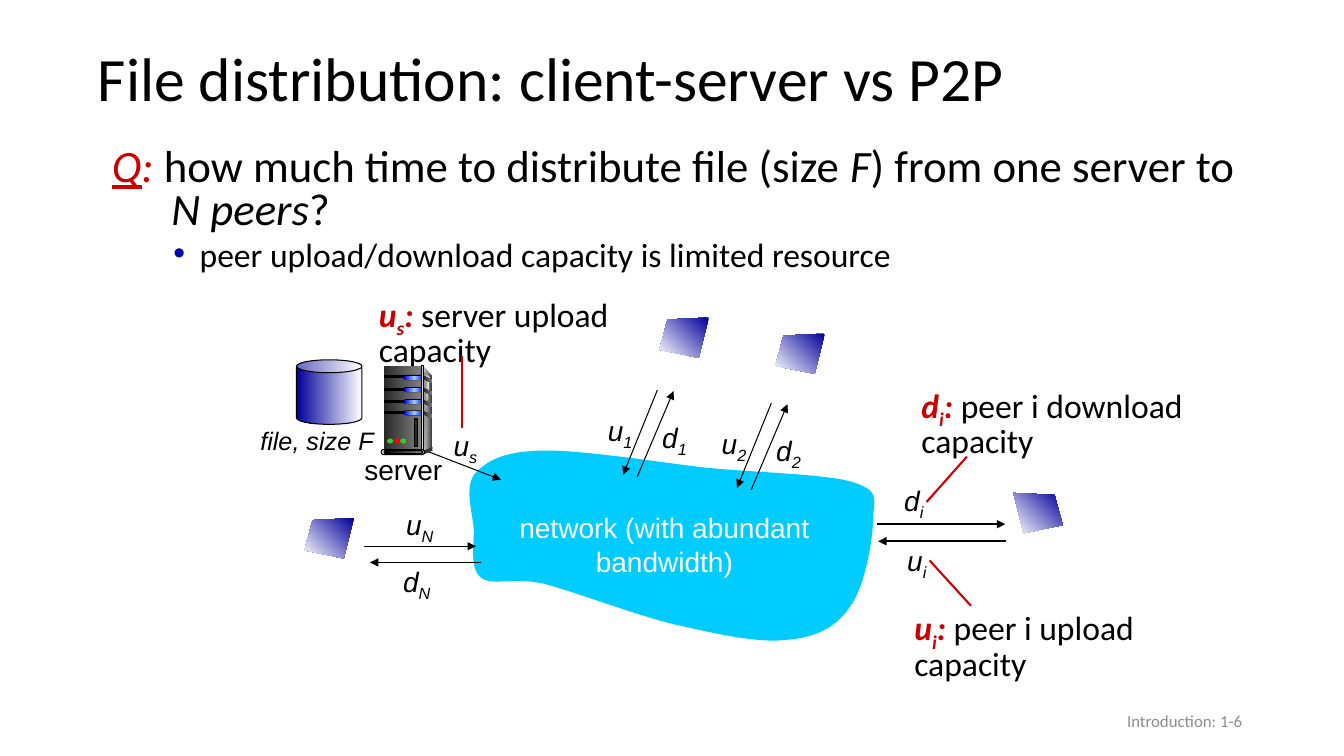
from lxml.etree import SubElement
from pptx import Presentation
from pptx.dml.color import RGBColor
from pptx.enum.shapes import MSO_CONNECTOR, MSO_SHAPE
from pptx.enum.text import MSO_ANCHOR, MSO_AUTO_SIZE, PP_ALIGN
from pptx.oxml.ns import qn
from pptx.util import Pt

PX = 9144
BLACK, WHITE, RED, NAVY = "000000", "FFFFFF", "CC0000", "000099"
DARK, GRAY, PALE = "292929", "808080", "DDDDDD"
STEEL, GREEN = "333333", "33CC33"
LEFT, RIGHT, MID = PP_ALIGN.LEFT, PP_ALIGN.RIGHT, PP_ALIGN.CENTER
BOX, PILL, DISC = MSO_SHAPE.RECTANGLE, MSO_SHAPE.ROUNDED_RECTANGLE, MSO_SHAPE.OVAL
SCREEN = [(49, 0), (8, 2), (0, 32), (39, 40)]
CLOUD = [
    (537, 447),
    (499, 448), (483, 457), (471, 470), (460, 483), (469, 509), (470, 526),
    (470, 543), (466, 564), (477, 573), (489, 582), (507, 572), (539, 579),
    (570, 587), (627, 609), (667, 619), (707, 628), (749, 638), (778, 635),
    (808, 633), (829, 623), (843, 602), (858, 582), (866, 535), (866, 514),
    (867, 494), (873, 487), (845, 478), (817, 470), (750, 469), (700, 464),
    (649, 458), (575, 446), (537, 447),
]


def tint(code):
    return RGBColor.from_string(code)


def paint(shape, fill, line=None, angle=0):
    shape.shadow.inherit = False
    if isinstance(fill, str):
        shape.fill.solid()
        shape.fill.fore_color.rgb = tint(fill)
    else:
        shape.fill.gradient()
        shape.fill.gradient_angle = -angle % 360
        stops = shape._element.spPr.find(".//" + qn("a:gsLst"))
        stops.clear()
        for i, code in enumerate(fill):
            stop = SubElement(stops, qn("a:gs"), pos=str(100000 * i // (len(fill) - 1)))
            SubElement(stop, qn("a:srgbClr"), val=code)
    if line:
        shape.line.color.rgb = tint(line)
        shape.line.width = Pt(0.75)
    else:
        shape.line.fill.background()


def block(slide, kind, place, fill, line=None):
    shape = slide.shapes.add_shape(kind, *(n * PX for n in place))
    paint(shape, fill, line)
    if kind == PILL:
        shape.adjustments[0] = 0.5
    return shape


def outline(slide, points, fill, angle=0):
    spots = [(round(x * PX), round(y * PX)) for x, y in points]
    pen = slide.shapes.build_freeform(*spots[0], scale=1.0)
    pen.add_line_segments(spots[1:], close=True)
    paint(pen.convert_to_shape(), fill, angle=angle)


def bend(knots, steps=12):
    points = [knots[0]]
    for i in range(0, len(knots) - 1, 3):
        a, b, c, d = knots[i:i + 4]
        for k in range(1, steps + 1):
            t = k / steps
            s = 1 - t
            points.append(tuple(
                s**3 * a[n] + 3 * s * s * t * b[n] + 3 * s * t * t * c[n] + t**3 * d[n]
                for n in (0, 1)))
    return points


def arrow(slide, start, end, color=BLACK, width=0.75, head=True):
    ends = [n * PX for n in (*start, *end)]
    link = slide.shapes.add_connector(MSO_CONNECTOR.STRAIGHT, *ends)
    link.line.color.rgb = tint(color)
    link.line.width = Pt(width)
    if head:
        SubElement(link.line._get_or_add_ln(), qn("a:tailEnd"), type="triangle")
    SubElement(link._element.spPr, qn("a:effectLst"))


def write(para, runs, size, face="Calibri", color=BLACK, align=LEFT, space=None):
    para.alignment = align
    if space:
        para.line_spacing = space
    para.font.size = Pt(size)
    para.font.name = face
    para.font.color.rgb = tint(color)
    for text, marks in runs:
        run = para.add_run()
        run.text = text
        if "b" in marks:
            run.font.bold = True
        if "i" in marks:
            run.font.italic = True
        if "u" in marks:
            run.font.underline = True
        if "r" in marks:
            run.font.color.rgb = tint(RED)
        if "s" in marks:
            run.font._element.set("baseline", "-25000")


def label(slide, place, lines, size, **style):
    frame = slide.shapes.add_textbox(*(n * PX for n in place)).text_frame
    frame.word_wrap = True
    for i, runs in enumerate(lines):
        para = frame.add_paragraph() if i else frame.paragraphs[0]
        write(para, runs, size, **style)
    return frame


def rate(slide, x, y, name, sub):
    label(slide, (x, y, 67, 44), [[(name, "i"), (sub, "is")]], 20, face="Arial")


def legend(slide, x, y, width, name, sub, text):
    runs = [(name, "bir"), (sub, "birs"), (":", "bir"), (" " + text, "")]
    label(slide, (x, y, width, 79), [runs], 24, space=0.85)


def move(shape, place):
    shape.left, shape.top, shape.width, shape.height = (n * PX for n in place)
    shape.text_frame.auto_size = MSO_AUTO_SIZE.NONE


def indent(para, margin, hang, bullet=None):
    props = para._p.get_or_add_pPr()
    props.set("marL", str(margin * PX))
    props.set("indent", str(-hang * PX))
    if bullet:
        hue = SubElement(props, qn("a:buClr"))
        SubElement(hue, qn("a:srgbClr"), val=bullet)
        SubElement(props, qn("a:buChar"), char="•")
    else:
        SubElement(props, qn("a:buNone"))


def heading(slide):
    title, body = slide.placeholders
    move(title, (87, 32, 1150, 98))
    title.text_frame.vertical_anchor = MSO_ANCHOR.MIDDLE
    write(title.text_frame.paragraphs[0],
          [("File distribution: client-server vs P2P", "")], 44, space=0.9)
    move(body, (94, 142, 1150, 142))
    first = body.text_frame.paragraphs[0]
    indent(first, 66, 59)
    first.space_before = Pt(0)
    write(first, [
        ("Q", "iur"), (":", "ir"), (" how much time to distribute file (size ", ""),
        ("F", "i"), (") from one server to ", ""), ("N peers", "i"), ("?", ""),
    ], 32, space=0.8)
    point = body.text_frame.add_paragraph()
    point.level = 1
    indent(point, 94, 26, "0000A8")
    point.space_before = Pt(5)
    write(point, [("peer upload/download capacity is limited resource", "")], 24, space=0.8)


def server(slide):
    outline(slide, [(420, 364), (429, 374), (428, 444), (419, 447)], (PALE, STEEL))
    block(slide, BOX, (381, 363, 37, 84), (DARK, GRAY))
    outline(slide, [(421, 369), (426, 375), (422, 410), (421, 445)], (GRAY, "F8F8F8"))
    for y in (373, 385, 397, 408):
        block(slide, BOX, (381, y, 21, 2), BLACK, BLACK)
        block(slide, PILL, (400, y - 1, 21, 5), BLACK)
        block(slide, PILL, (401, y, 20, 4), ("0000FF", "99CCFF", "0000FF"))
        outline(slide, [(420, y), (429, y + 4), (428, y + 7), (420, y + 3)], (DARK, GRAY))
    block(slide, BOX, (418, 363, 2, 84), (STEEL, PALE, STEEL), BLACK)
    block(slide, DISC, (427, 443, 2, 3), STEEL)
    outline(slide, [(420, 447), (420, 451), (429, 447), (428, 444)], STEEL)
    block(slide, PILL, (378, 446, 43, 5), PALE, BLACK)
    block(slide, PILL, (381, 447, 38, 3), (BLACK, GRAY), BLACK)
    for x, color in ((384, GREEN), (391, "FF0000"), (397, GREEN)):
        block(slide, DISC, (x, 435, 6, 5), color)
    block(slide, BOX, (411, 415, 3, 28), DARK, BLACK)


def main():
    deck = Presentation()
    deck.slide_width, deck.slide_height = 1333 * PX, 750 * PX
    slide = deck.slides.add_slide(deck.slide_layouts[1])
    heading(slide)
    foot = label(slide, (942, 695, 300, 40), [[("Introduction: 1-6", "")]], 12,
                 color="8C8C8C", align=RIGHT)
    foot.vertical_anchor = MSO_ANCHOR.MIDDLE

    outline(slide, bend(CLOUD), "00CCFF")
    label(slide, (494, 502, 330, 77),
          [[("network (with abundant", "")], [("bandwidth)", "")]], 20,
          face="Arial", color=WHITE, align=MID)
    label(slide, (336, 444, 128, 44), [[("server", "")]], 20, face="Arial", align=MID)
    label(slide, (238, 417, 153, 40), [[("file, size F", "i")]], 18, face="Arial", align=MID)
    legend(slide, 366, 289, 272, "u", "s", "server upload capacity")
    legend(slide, 897, 600, 283, "u", "i", "peer i upload capacity")
    legend(slide, 904, 379, 300, "d", "i", "peer i download capacity")
    disk = block(slide, MSO_SHAPE.CAN, (294, 357, 65, 64), (NAVY, WHITE), BLACK)
    disk.adjustments[0] = 0.2

    for x, y, name, sub in ((440, 420, "u", "s"), (393, 499, "u", "N"), (390, 555, "d", "N"),
                            (887, 475, "d", "i"), (890, 534, "u", "i")):
        rate(slide, x, y, name, sub)
    for i in range(2):
        x, y = 113 * i, 13 * i
        rate(slide, 593 + x, 405 + y, "u", str(i + 1))
        rate(slide, 647 + x, 412 + y, "d", str(i + 1))
        arrow(slide, (652 + x, 387 + y), (618 + x, 471 + y))
        arrow(slide, (632 + x, 473 + y), (668 + x, 388 + y))
    arrow(slide, (409, 442), (497, 476))
    arrow(slide, (361, 542), (472, 542))
    arrow(slide, (477, 558), (367, 558))
    arrow(slide, (870, 520), (997, 520), width=1.5)
    arrow(slide, (998, 537), (871, 537), width=1.5)
    for start, end in (((458, 353), (458, 425)), ((959, 453), (919, 498)),
                       ((963, 601), (922, 556))):
        arrow(slide, start, end, RED, 1.5, head=False)

    server(slide)
    for x, y, side in ((302, 514, 1), (654, 315, 1), (769, 331, 1), (1054, 489, -1)):
        shift = 0 if side == 1 else 0
        outline(slide, [(x + shift + side * a, y + b) for a, b in SCREEN], (NAVY, WHITE), 135)
    deck.save("out.pptx")


if __name__ == "__main__":
    main()
